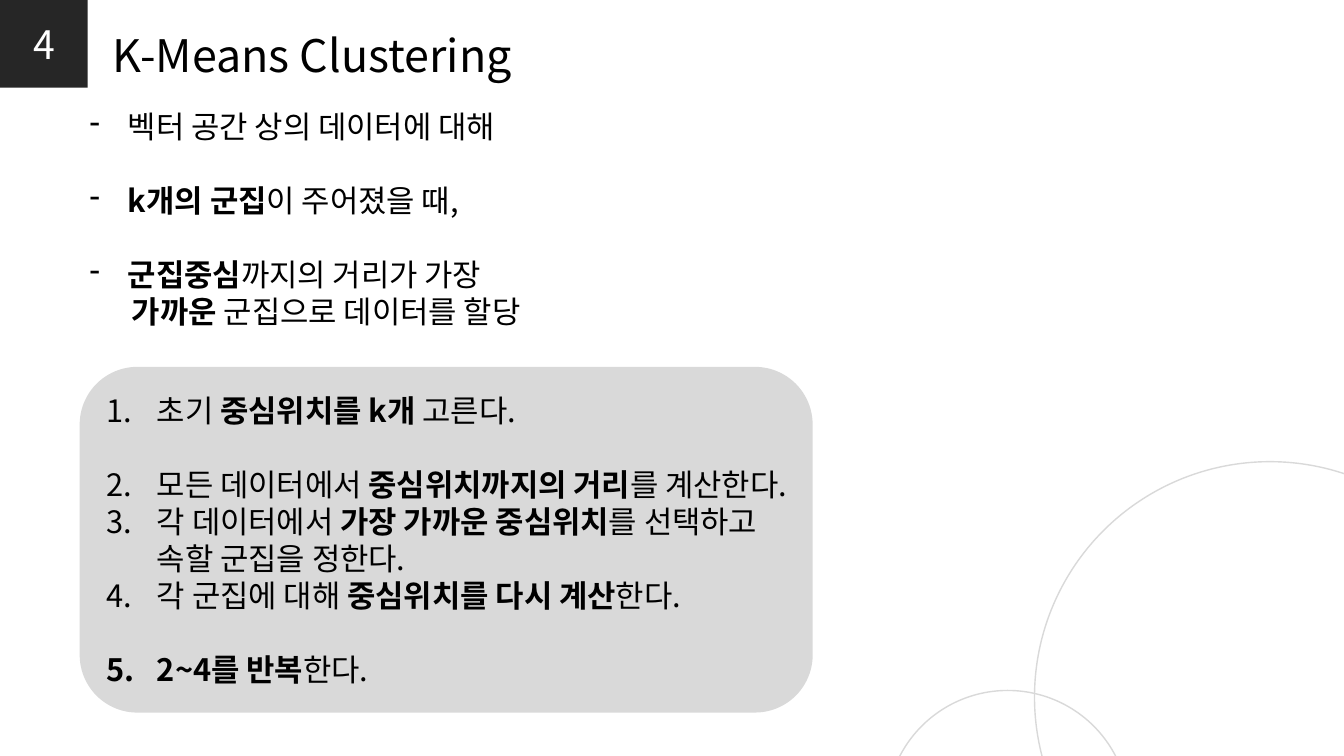
"""Build the K-Means Clustering slide with its notes and numbered steps."""
import pptx
import pptx.dml.color
import pptx.enum.shapes
import pptx.enum.text
import pptx.oxml.ns
import pptx.util
from lxml import etree

Inches, Pt = pptx.util.Inches, pptx.util.Pt
Color = pptx.dml.color.RGBColor.from_string
Shape = pptx.enum.shapes.MSO_SHAPE
Align = pptx.enum.text.PP_ALIGN
Anchor = pptx.enum.text.MSO_ANCHOR
qn = pptx.oxml.ns.qn

theme = {
    "font": "Noto Sans CJK KR",
    "ink": "000000", "paper": "FFFFFF", "dark": "262626", "gray": "D9D9D9",
    "badge": 28, "title": 32, "body": 22, "gap": 26.4, "line": 1,
}

deck = pptx.Presentation()
deck.slide_width, deck.slide_height = Inches(13.33), Inches(7.5)
slide = deck.slides.add_slide(deck.slide_layouts[6])
col, row = deck.slide_width / 100, deck.slide_height / 100


def place(x, y, wide, high):
    """Turn columns and rows, a hundred each way, into lengths."""
    return [round(n * unit) for n, unit in zip((x, y, wide, high), (col, row) * 2)]


def write(para, runs, size, color="ink"):
    """Add (text, bold) runs to a paragraph."""
    for text, bold in runs:
        run = para.add_run()
        run.text = text
        run.font.size, run.font.bold = Pt(size), bold
        run.font.name = theme["font"]
        run.font.color.rgb = Color(theme[color])
        east = etree.SubElement(run.font._element, qn("a:ea"))
        east.set("typeface", theme["font"])


for x, y, wide, high in ((76.97, 61.07, 35.03, 62.27), (65.94, 91.33, 18.08, 32.13)):
    ring = slide.shapes.add_shape(Shape.OVAL, *place(x, y, wide, high))
    ring.shadow.inherit = False
    ring.fill.background()
    ring.line.color.rgb = Color(theme["gray"])
    ring.line.width = Pt(theme["line"])

badge = slide.shapes.add_shape(Shape.RECTANGLE, *place(0, 0, 6.53, 11.6))
panel = slide.shapes.add_shape(Shape.ROUNDED_RECTANGLE, *place(5.93, 48.53, 54.54, 45.73))
for block, fill in ((badge, "dark"), (panel, "gray")):
    block.shadow.inherit = False
    block.fill.solid()
    block.fill.fore_color.rgb = Color(theme[fill])
    block.line.fill.background()
    block.text_frame.vertical_anchor = Anchor.MIDDLE
    block.text_frame.word_wrap = True

label = badge.text_frame.paragraphs[0]
label.alignment = Align.CENTER
write(label, [("4", False)], theme["badge"], "paper")

title = slide.shapes.add_textbox(*place(7.65, 3.07, 31.43, 8.53))
title.text_frame.word_wrap = False
write(title.text_frame.paragraphs[0], [("K-Means Clustering", False)], theme["title"])

notes = slide.shapes.add_textbox(*place(5.93, 13.6, 51.31, 36.4))
notes.text_frame.word_wrap = True

dash = ("a:buChar", "char", "-", 0.38, -0.38)
count = ("a:buAutoNum", "type", "arabicPeriod", 0.5, -0.5)
plain = ("a:buNone", None, None, 0.42, 0)

points = [
    (dash, False, [("벡터 공간 상의 데이터에 대해", False)]),
    (dash, True, [("k개의 군집", True), ("이 주어졌을 때,", False)]),
    (dash, True, [("군집중심", True), ("까지의 거리가 가장", False)]),
    (plain, False, [("가까운", True), (" 군집으로 데이터를 할당", False)]),
]
steps = [
    (count, False, [("초기 ", False), ("중심위치를 k개", True), (" 고른다.", False)]),
    (count, True, [("모든 데이터에서 ", False), ("중심위치까지의 거리", True),
                   ("를 계산한다.", False)]),
    (count, False, [("각 데이터에서 ", False), ("가장 가까운 중심위치", True),
                    ("를 선택하고 속할 군집을 정한다.", False)]),
    (count, False, [("각 군집에 대해 ", False), ("중심위치를 다시 계산", True),
                    ("한다.", False)]),
    (count, True, [("2~4를 반복", True), ("한다.", False)]),
]

for frame, items in ((notes.text_frame, points), (panel.text_frame, steps)):
    for i, (mark, gap, runs) in enumerate(items):
        para = frame.add_paragraph() if i else frame.paragraphs[0]
        para.alignment = Align.LEFT
        tag, key, value, left, hang = mark
        props = para._p.get_or_add_pPr()
        props.set("marL", str(Inches(left)))
        props.set("indent", str(Inches(hang)))
        sign = etree.SubElement(props, qn(tag))
        if key:
            sign.set(key, value)
        if gap:
            para.space_before = Pt(theme["gap"])
        write(para, runs, theme["body"])

deck.save("out.pptx")
